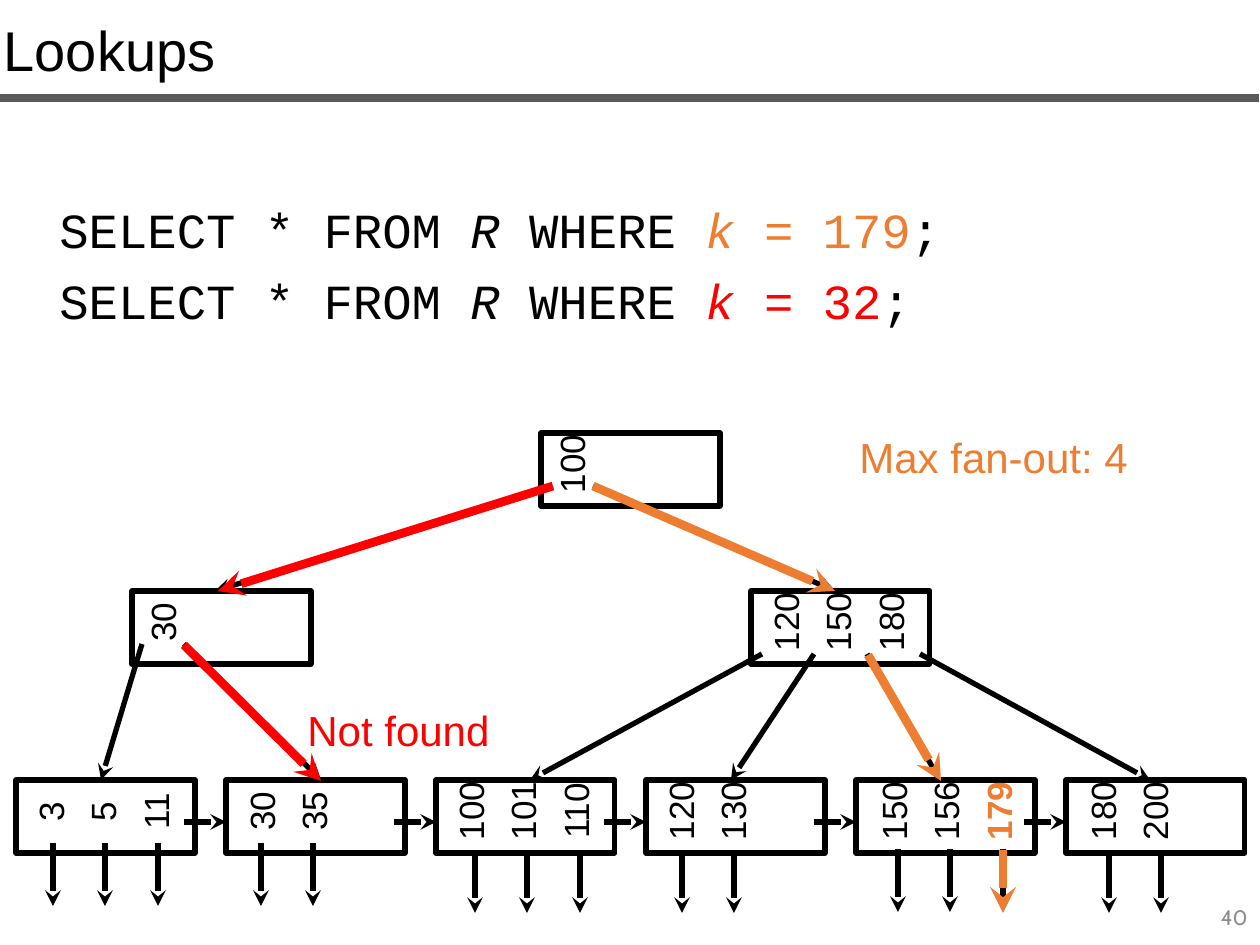
from lxml import etree
from pptx import Presentation
from pptx import util as u
from pptx.dml.color import RGBColor
from pptx.enum import shapes, text
from pptx.oxml.ns import qn

SCALE = 914400 / 126
COLORS = {"black": "000000", "orange": "ED7D31", "red": "FF0000",
          "gray": "8C8C8C", "rule": "595959"}
NODE_W, NODE_H = 179, 73
LEAF_TOP, INNER_TOP, ROOT_TOP = 780, 591, 433
LEAF_X, LEAF_PITCH = 16, 210
KEY_W, KEY_HEIGHTS = 68, {1: 33, 2: 52, 3: 72}
POINTER_LEN = 63

LEAVES = [
    (["3", "5", "11"], 4, 37, 843),
    (["30", "35"], 5, 35, 843),
    (["100", "101", "110"], 4, 39, 850),
    (["120", "130"], 4, 36, 850),
    (["150", "156", "179"], 7, 42, 849),
    (["180", "200"], 6, 43, 850),
]
INNER_NODES = [
    (541, ROOT_TOP, ["100"], 0),
    (132, INNER_TOP, ["30"], 0),
    (751, INNER_TOP, ["120", "150", "180"], 4),
]
CHILD_LINKS = [
    (552, 486, 215, 591), (593, 486, 835, 591),
    (142, 644, 101, 780), (184, 644, 321, 780),
    (762, 654, 530, 780), (814, 654, 731, 780),
    (867, 654, 940, 780), (920, 654, 1150, 780),
]
FOUND_PATH = [(593, 486, 835, 591), (868, 655, 941, 781), (1003, 850, 1003, 913)]
MISSING_PATH = [(553, 486, 218, 591), (184, 645, 321, 781)]


def px(n):
    return u.Emu(round(n * SCALE))


def rgb(color):
    return RGBColor.from_string(COLORS[color])


def key_offset(i):
    return i * 105 // 2


def add_run(p, content, size, color="black", font="Arial", bold=False, italic=False):
    r = p.add_run()
    r.text = content
    r.font.size = u.Pt(size)
    r.font.name = font
    r.font.bold = bold
    r.font.italic = italic
    r.font.color.rgb = rgb(color)


def add_text_box(s, x, y, w, h, wrap=False):
    sp = s.shapes.add_textbox(px(x), px(y), px(w), px(h))
    sp.text_frame.word_wrap = wrap
    return sp.text_frame


def add_label(s, x, y, w, h, content, color):
    tf = add_text_box(s, x, y, w, h)
    add_run(tf.paragraphs[0], content, 24, color)


def add_line(s, ends, color="black", width=3, arrow=True):
    sp = s.shapes.add_connector(shapes.MSO_CONNECTOR.STRAIGHT, *map(px, ends))
    sp.line.color.rgb = rgb(color)
    sp.line.width = u.Pt(width)
    if arrow:
        etree.SubElement(sp.line._get_or_add_ln(), qn("a:tailEnd"), type="stealth")
    etree.SubElement(sp._element.spPr, qn("a:effectLst"))


def add_key(s, x, node_top, key):
    h = KEY_HEIGHTS[len(key)]
    tf = add_text_box(s, x, node_top + 38 - h // 2, KEY_W, h)
    tf.margin_left = tf.margin_top = 0
    tf.margin_right, tf.margin_bottom = px(8), px(14)
    tf.vertical_anchor = text.MSO_ANCHOR.MIDDLE
    tf._txBody.bodyPr.set("vert", "vert270")
    p = tf.paragraphs[0]
    p.alignment = text.PP_ALIGN.CENTER
    found = key == "179"
    add_run(p, key, 20, "orange" if found else "black", bold=found)


def add_node(s, x, y, keys, key_dx):
    sp = s.shapes.add_shape(shapes.MSO_SHAPE.RECTANGLE, px(x), px(y), px(NODE_W), px(NODE_H))
    sp.shadow.inherit = False
    sp.fill.background()
    sp.line.color.rgb = rgb("black")
    sp.line.width = u.Pt(3)
    for i, key in enumerate(keys):
        add_key(s, x + key_dx + key_offset(i), y, key)


def add_leaves(s):
    for n, (keys, key_dx, pointer_dx, pointer_top) in enumerate(LEAVES):
        x = LEAF_X + n * LEAF_PITCH
        add_node(s, x, LEAF_TOP, keys, key_dx)
        for i in range(len(keys)):
            pointer_x = x + pointer_dx + key_offset(i)
            add_line(s, (pointer_x, pointer_top, pointer_x, pointer_top + POINTER_LEN))
        if n < len(LEAVES) - 1:
            add_line(s, (x + 168, 822, x + LEAF_PITCH, 822))


def add_title(s, content):
    sp = s.shapes.title
    sp.left, sp.top, sp.width, sp.height = map(px, (-9, 9, 1269, 81))
    tf = sp.text_frame
    tf.auto_size = text.MSO_AUTO_SIZE.NONE
    tf.vertical_anchor = text.MSO_ANCHOR.TOP
    p = tf.paragraphs[0]
    p.alignment = text.PP_ALIGN.LEFT
    add_run(p, content, 32)
    add_line(s, (0, 98, 1259, 98), "rule", 4.5, arrow=False)


def add_queries(s):
    tf = add_text_box(s, 47, 200, 1126, 142, wrap=True)
    for i, (value, color) in enumerate([("179", "orange"), ("32", "red")]):
        p = tf.add_paragraph() if i else tf.paragraphs[0]
        p.line_spacing = 0.9
        p.space_before = u.Pt(10 if i else 0)
        for content, run_color, italic in [
            ("SELECT * FROM ", "black", False), ("R", "black", True),
            (" WHERE ", "black", False), ("k", color, True),
            (f" = {value}", color, False), (";", "black", False),
        ]:
            add_run(p, content, 28, run_color, "Courier New", italic=italic)


def add_page_number(s, number):
    tf = add_text_box(s, 977, 892, 283, 50, wrap=True)
    tf.vertical_anchor = text.MSO_ANCHOR.MIDDLE
    p = tf.paragraphs[0]
    p.alignment = text.PP_ALIGN.RIGHT
    add_run(p, number, 12, "gray", "Cabin")


def main():
    prs = Presentation()
    prs.slide_width, prs.slide_height = px(1260), px(945)
    s = prs.slides.add_slide(prs.slide_layouts[5])
    add_title(s, "Lookups")
    add_queries(s)
    add_page_number(s, "40")
    add_leaves(s)
    for node in INNER_NODES:
        add_node(s, *node)
    for link in CHILD_LINKS:
        add_line(s, link)
    for path, color in [(FOUND_PATH, "orange"), (MISSING_PATH, "red")]:
        for ends in path:
            add_line(s, ends, color, 5)
    add_label(s, 847, 425, 296, 63, "Max fan-out: 4", "orange")
    add_label(s, 295, 698, 209, 63, "Not found", "red")
    prs.save("out.pptx")


if __name__ == "__main__":
    main()
